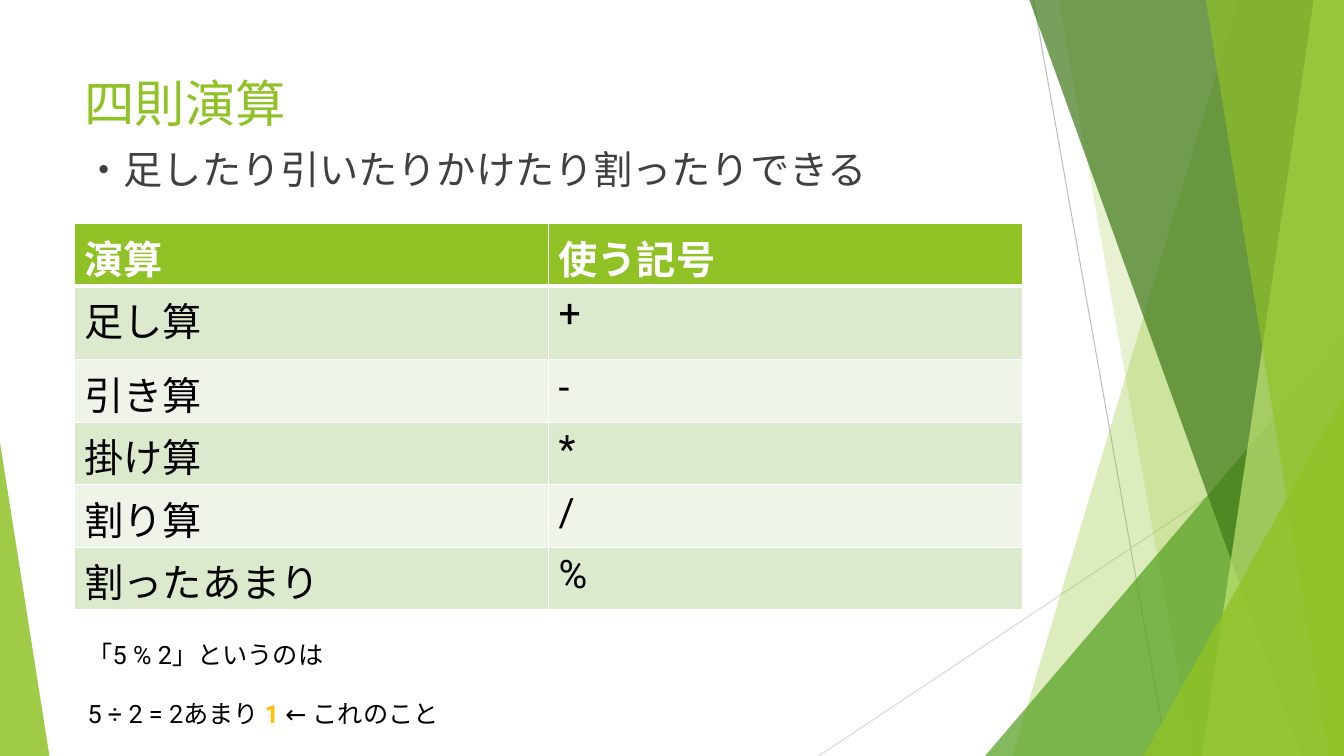
from dataclasses import dataclass
from typing import NamedTuple

from lxml import etree
from pptx import Presentation
from pptx import slide as sl
from pptx import util as u
from pptx.dml import color as col
from pptx.enum import shapes, text
from pptx.oxml import ns


@dataclass(frozen=True)
class Theme:
    font: str = "Roboto"
    lime: str = "90C226"
    leaf: str = "54A021"
    moss: str = "3F7819"
    pale: str = "C0E474"
    gold: str = "FFC000"
    ink: str = "000000"
    grey: str = "404040"
    white: str = "FFFFFF"
    ray: str = "BFBFBF"
    mist: str = "D9D9D9"
    bands: tuple[str, str] = ("DBE9CD", "EEF4E8")
    head: float = 36
    body: float = 28
    note: float = 18


T = Theme()
WIDE, HIGH = 13.33, 7.5
Point = tuple[float, float]
Box = tuple[float, float, float, float]


class Ray(NamedTuple):
    start: Point
    end: Point
    color: str


class Facet(NamedTuple):
    """A see-through panel, from its top edge down to the slide's right corner."""
    top: float
    foot: float
    color: str
    alpha: int


class Wedge(NamedTuple):
    box: Box
    tip: float
    color: str
    alpha: int


class Part(NamedTuple):
    words: str
    color: str
    bold: bool = False


RAYS = [
    Ray((10.25, 0), (11.58, HIGH), T.ray),
    Ray((WIDE, 4.03), (8.12, HIGH), T.mist),
]
DECOR = [
    Facet(12.28, 10.04, T.lime, 30),
    Facet(10.5, 11.83, T.lime, 20),
    Wedge((9.77, 3.33, 3.56, 4.17), 1, T.leaf, 72),
    Facet(10.21, 12.91, T.moss, 70),
    Facet(13.03, 11.92, T.pale, 70),
    Facet(11.96, 13.18, T.lime, 65),
    Wedge((11.34, 3.93, 1.99, 3.57), 1, T.lime, 80),
    Wedge((0, 4.39, 0.49, 3.11), 0, T.lime, 85),
]
ROWS = [
    ("演算", "使う記号"),
    ("足し算", "+"),
    ("引き算", "-"),
    ("掛け算", "*"),
    ("割り算", "/"),
    ("割ったあまり", "%"),
]
NOTE = [
    [Part("「5 % 2」というのは", T.ink)],
    [Part("5 ÷ 2 = 2あまり ", T.ink), Part("1 ", T.gold, True), Part("← これのこと", T.ink)],
]


def rgb(code: str) -> col.RGBColor:
    return col.RGBColor.from_string(code)


def style(run, size: float, color: str, bold: bool = False) -> None:
    run.font.name = T.font
    run.font.size = u.Pt(size)
    run.font.bold = bold
    run.font.color.rgb = rgb(color)


def draw_ray(page: sl.Slide, ray: Ray) -> None:
    ends = [u.Inches(v) for v in ray.start + ray.end]
    line = page.shapes.add_connector(shapes.MSO_CONNECTOR.STRAIGHT, *ends)
    line.line.color.rgb = rgb(ray.color)
    line.line.width = u.Pt(0.75)
    etree.SubElement(line.element.spPr, ns.qn("a:effectLst"))


def draw_decor(page: sl.Slide, item: Facet | Wedge) -> None:
    if isinstance(item, Facet):
        spots = [(item.top, 0), (WIDE, 0), (WIDE, HIGH), (item.foot, HIGH)]
        dots = [(u.Inches(x), u.Inches(y)) for x, y in spots]
        pen = page.shapes.build_freeform(*dots[0])
        pen.add_line_segments(dots[1:], close=True)
        shape = pen.convert_to_shape()
    else:
        kind = shapes.MSO_SHAPE.ISOSCELES_TRIANGLE
        shape = page.shapes.add_shape(kind, *map(u.Inches, item.box))
        shape.adjustments[0] = item.tip
    shape.shadow.inherit = False
    shape.line.fill.background()
    shape.fill.solid()
    shape.fill.fore_color.rgb = rgb(item.color)
    tint = shape.element.spPr.find(ns.qn("a:solidFill"))[0]
    etree.SubElement(tint, ns.qn("a:alpha"), val=str(item.alpha * 1000))


def draw_text(page: sl.Slide, box: Box, size: float, lines: list[list[Part]]) -> None:
    frame = page.shapes.add_textbox(*map(u.Inches, box)).text_frame
    frame.word_wrap = True
    frame.vertical_anchor = text.MSO_ANCHOR.TOP
    for i, parts in enumerate(lines):
        para = frame.add_paragraph() if i else frame.paragraphs[0]
        if i:
            para.space_before = u.Pt(21)
        for part in parts:
            run = para.add_run()
            run.text = part.words
            style(run, size, part.color, part.bold)


def edge_cell(cell, foot: float) -> None:
    """Gives a cell thin white edges, with its own weight at the bottom."""
    props = cell._tc.get_or_add_tcPr()
    for side, width in (("L", 1), ("R", 1), ("T", 1), ("B", foot)):
        line = etree.SubElement(props, ns.qn(f"a:ln{side}"), w=str(u.Pt(width)))
        fill = etree.SubElement(line, ns.qn("a:solidFill"))
        etree.SubElement(fill, ns.qn("a:srgbClr"), val=T.white)


def draw_table(page: sl.Slide) -> None:
    box = map(u.Inches, (0.74, 2.22, 9.4, 3.86))
    grid = page.shapes.add_table(len(ROWS), 2, *box).table
    for r, words in enumerate(ROWS):
        head = r == 0
        grid.rows[r].height = u.Inches(0.73 if r == 1 else 0.62)
        for c, word in enumerate(words):
            cell = grid.cell(r, c)
            edge_cell(cell, 3 if head else 1)
            cell.fill.solid()
            cell.fill.fore_color.rgb = rgb(T.lime if head else T.bands[(r - 1) % 2])
            cell.text_frame.text = word
            run = cell.text_frame.paragraphs[0].runs[0]
            style(run, T.body, T.white if head else T.ink, head)


def main() -> None:
    deck = Presentation()
    deck.slide_width, deck.slide_height = u.Inches(WIDE), u.Inches(HIGH)
    page = deck.slides.add_slide(deck.slide_layouts[6])
    for ray in RAYS:
        draw_ray(page, ray)
    for item in DECOR:
        draw_decor(page, item)
    draw_text(page, (0.74, 0.67, 9.4, 1.44), T.head, [[Part("四則演算", T.lime)]])
    draw_table(page)
    lead = Part("・足したり引いたりかけたり割ったりできる", T.grey)
    draw_text(page, (0.74, 1.39, 8.99, 0.57), T.body, [[lead]])
    draw_text(page, (0.77, 6.29, 4.47, 1.01), T.note, NOTE)
    deck.save("out.pptx")


if __name__ == "__main__":
    main()
